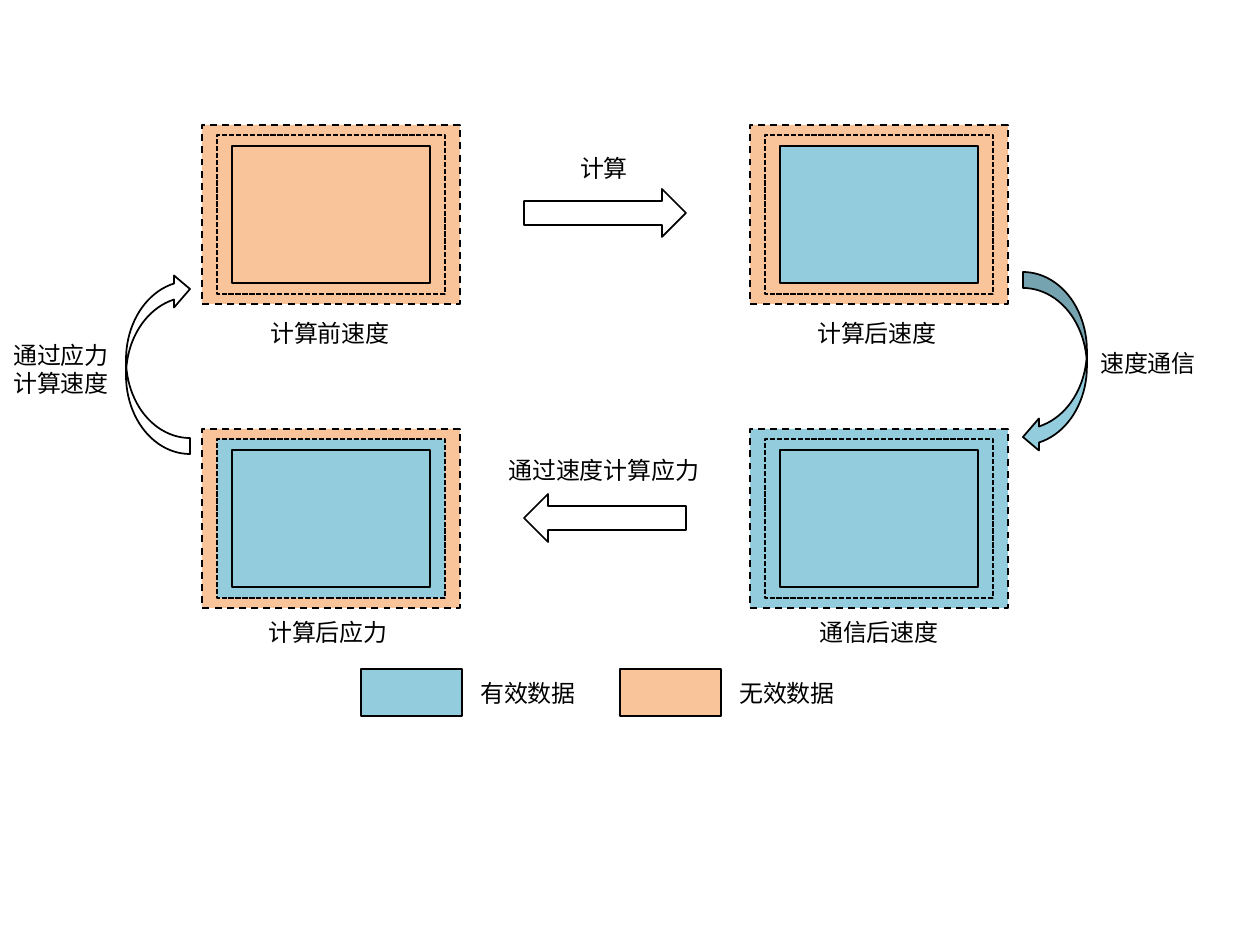
import lxml.etree
import pptx
import pptx.dml.color
import pptx.enum.dml
import pptx.enum.shapes
import pptx.enum.text
import pptx.util

SCALE = 914400 / 126
SHAPES = pptx.enum.shapes.MSO_SHAPE
DASHES = pptx.enum.dml.MSO_LINE
COLORS = {"valid": "93CDDD", "invalid": "F9C49A", "ink": "000000"}

# Panels: column, row, colours from the outer to the inner rectangle
PANELS = [
    (0, 0, ("invalid", "invalid", "invalid")),
    (1, 0, ("invalid", "invalid", "valid")),
    (0, 1, ("invalid", "valid", "valid")),
    (1, 1, ("valid", "valid", "valid")),
]
COLUMNS, ROWS = (202, 750), (125, 429)
PANEL_WIDTH, PANEL_HEIGHT = 258, 179
# Layers: horizontal inset, vertical inset, dash
LAYERS = [(0, 0, DASHES.DASH), (15, 10, DASHES.SQUARE_DOT), (30, 21, None)]

# Arrows: shape, left, top, width, height, rotation, fill
ARROWS = [
    (SHAPES.RIGHT_ARROW, 524, 189, 162, 48, 0, None),
    (SHAPES.RIGHT_ARROW, 524, 494, 162, 48, 180, None),
    (SHAPES.CURVED_LEFT_ARROW, 1023, 272, 64, 181, 0, "valid"),
    (SHAPES.CURVED_LEFT_ARROW, 126, 273, 64, 181, 180, None),
]

# Labels: text, centre x, centre y
LABELS = [
    ("计算前速度", 330, 333),
    ("计算后速度", 877, 333),
    ("计算后应力", 328, 632),
    ("通信后速度", 879, 632),
    ("计算", 604, 168),
    ("通过速度计算应力", 604, 470),
    ("速度通信", 1148, 363),
    ("通过应力\n计算速度", 61, 369),
]

# Legend: left, colour, text
LEGEND = [(361, "valid", "有效数据"), (620, "invalid", "无效数据")]
LEGEND_TOP, SWATCH_WIDTH, SWATCH_HEIGHT = 669, 101, 47
LEGEND_TEXT_OFFSET = 167

GLYPH, LINE_HEIGHT, MARGIN_X, MARGIN_Y = 24, 29, 13, 6


def emu(pixels):
    return pptx.util.Emu(round(pixels * SCALE))


def rgb(name):
    return pptx.dml.color.RGBColor.from_string(COLORS[name])


def add_figure(kind, left, top, width, height, fill=None, dash=None):
    figure = slide.shapes.add_shape(kind, emu(left), emu(top), emu(width), emu(height))
    figure.shadow.inherit = False
    if fill:
        figure.fill.solid()
        figure.fill.fore_color.rgb = rgb(fill)
    else:
        figure.fill.background()
    figure.line.color.rgb = rgb("ink")
    figure.line.width = pptx.util.Pt(1)
    if dash:
        figure.line.dash_style = dash
    return figure


def add_label(text, center_x, center_y):
    lines = text.split("\n")
    width = max(map(len, lines)) * GLYPH + 2 * MARGIN_X
    height = len(lines) * LINE_HEIGHT + 2 * MARGIN_Y
    box = slide.shapes.add_textbox(
        emu(center_x - width / 2), emu(center_y - height / 2), emu(width), emu(height))
    frame = box.text_frame
    frame.word_wrap = False
    frame.vertical_anchor = pptx.enum.text.MSO_ANCHOR.MIDDLE
    frame.text = text
    for para in frame.paragraphs:
        para.alignment = pptx.enum.text.PP_ALIGN.CENTER
        for span in para.runs:
            span.font.size = pptx.util.Pt(13.7)
            span.font.name = "Calibri"
            span.font.color.rgb = rgb("ink")


deck = pptx.Presentation()
deck.slide_width, deck.slide_height = emu(1260), emu(945)
slide = deck.slides.add_slide(deck.slide_layouts[6])

# Nested panels
for column, row, fills in PANELS:
    for (inset_x, inset_y, dash), fill in zip(LAYERS, fills):
        add_figure(SHAPES.RECTANGLE, COLUMNS[column] + inset_x, ROWS[row] + inset_y,
                   PANEL_WIDTH - 2 * inset_x, PANEL_HEIGHT - 2 * inset_y, fill, dash)

# Arrows of the cycle
for kind, left, top, width, height, rotation, fill in ARROWS:
    add_figure(kind, left, top, width, height, fill).rotation = rotation

# Labels
for label in LABELS:
    add_label(*label)

# Legend
for left, fill, text in LEGEND:
    add_figure(SHAPES.RECTANGLE, left, LEGEND_TOP, SWATCH_WIDTH, SWATCH_HEIGHT, fill)
    add_label(text, left + LEGEND_TEXT_OFFSET, LEGEND_TOP + SWATCH_HEIGHT / 2)

deck.save("out.pptx")
